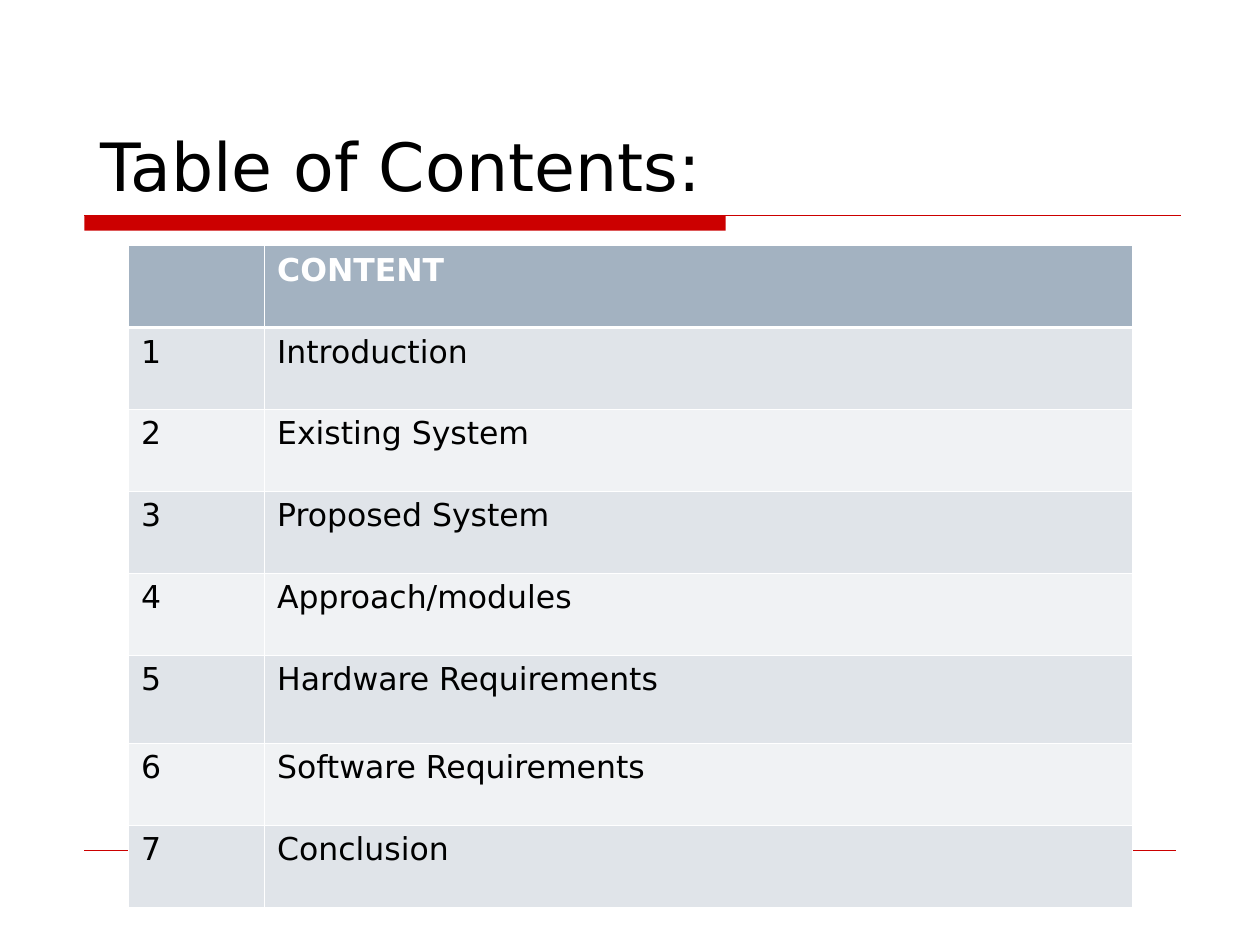
import pptx
import pptx.util
import pptx.dml.color
import pptx.enum.shapes
import pptx.enum.text
import pptx.oxml
import pptx.oxml.ns
import lxml.etree

TITLE = "Table of Contents:"
HEADER = ("", "CONTENT")
TOPICS = ["Introduction", "Existing System", "Proposed System", "Approach/modules",
          "Hardware Requirements", "Software Requirements", "Conclusion"]

FONT = "DejaVu Sans"
RED, BLACK, WHITE = "CC0000", "000000", "FFFFFF"
HEADER_FILL, BANDS = "A3B2C1", ("E0E4E9", "F0F2F4")
WIDTH, HEIGHT = 10, 7.5
MARGIN = 0.67
RULE_TOP, BAR_HEIGHT, BAR_WIDTH = 1.71, 0.12, 5.09
TABLE_LEFT, TABLE_TOP = 1.02, 1.95
COLUMN_WIDTHS = (1.08, 6.89)
ROW_HEIGHT, TALL_ROW, TALL_HEIGHT = 0.65, 5, 0.7
THIN, THICK = 0.45, 1.47

inches = pptx.util.Inches


def color(value):
    return pptx.dml.color.RGBColor.from_string(value)


def write(frame, text, size=18, ink=BLACK, bold=False):
    para = frame.paragraphs[0]
    para.alignment = pptx.enum.text.PP_ALIGN.LEFT
    span = para.add_run()
    span.text = text
    span.font.name = FONT
    span.font.size = pptx.util.Pt(size)
    span.font.bold = bold
    span.font.color.rgb = color(ink)


def add_rule(slide, right, y, weight):
    rule = slide.shapes.add_connector(
        pptx.enum.shapes.MSO_CONNECTOR.STRAIGHT,
        inches(MARGIN), inches(y), inches(right), inches(y))
    rule.line.color.rgb = color(RED)
    rule.line.width = pptx.util.Pt(weight)
    lxml.etree.SubElement(rule._element.spPr, pptx.oxml.ns.qn("a:effectLst"))


def set_borders(cell, **weights):
    """Draw white borders; weights are points by side: L, R, T, B."""
    properties = cell._tc.get_or_add_tcPr()
    for side in "LRTB":
        weight = int(pptx.util.Pt(weights.get(side, THIN)))
        properties.append(pptx.oxml.parse_xml(
            f'<a:ln{side} {pptx.oxml.ns.nsdecls("a")} w="{weight}"><a:solidFill>'
            f'<a:srgbClr val="{WHITE}"/></a:solidFill></a:ln{side}>'))


def add_title(slide):
    title = slide.shapes.title
    title.left, title.top = inches(0.7), inches(0.94)
    title.width, title.height = inches(5.23), inches(0.74)
    title.text_frame.vertical_anchor = pptx.enum.text.MSO_ANCHOR.TOP
    write(title.text_frame, TITLE, size=38)


def add_bar(slide):
    bar = slide.shapes.add_shape(
        pptx.enum.shapes.MSO_SHAPE.RECTANGLE, inches(MARGIN), inches(RULE_TOP),
        inches(BAR_WIDTH), inches(BAR_HEIGHT))
    bar.shadow.inherit = False
    bar.fill.solid()
    bar.fill.fore_color.rgb = color(RED)
    bar.line.fill.background()


def add_contents(slide):
    rows = [HEADER] + [(str(number), topic) for number, topic in enumerate(TOPICS, 1)]
    heights = [TALL_HEIGHT if index == TALL_ROW else ROW_HEIGHT for index in range(len(rows))]
    table = slide.shapes.add_table(
        len(rows), len(COLUMN_WIDTHS), inches(TABLE_LEFT), inches(TABLE_TOP),
        inches(sum(COLUMN_WIDTHS)), inches(sum(heights))).table
    for column, width in zip(table.columns, COLUMN_WIDTHS):
        column.width = inches(width)
    for index, (texts, height) in enumerate(zip(rows, heights)):
        table.rows[index].height = inches(height)
        is_header = index == 0
        for cell, text in zip(table.rows[index].cells, texts):
            set_borders(cell, T=THICK if index == 1 else THIN, B=THICK if is_header else THIN)
            cell.fill.solid()
            cell.fill.fore_color.rgb = color(HEADER_FILL if is_header else BANDS[(index - 1) % 2])
            if text:
                write(cell.text_frame, text, ink=WHITE if is_header else BLACK, bold=is_header)


def main():
    deck = pptx.Presentation()
    deck.slide_width, deck.slide_height = inches(WIDTH), inches(HEIGHT)
    slide = deck.slides.add_slide(deck.slide_layouts.get_by_name("Title Only"))
    add_bar(slide)
    add_rule(slide, right=9.37, y=RULE_TOP, weight=0.75)
    add_rule(slide, right=WIDTH - MARGIN, y=HEIGHT * 0.9, weight=0.25)
    add_contents(slide)
    add_title(slide)
    deck.save("out.pptx")


if __name__ == "__main__":
    main()
